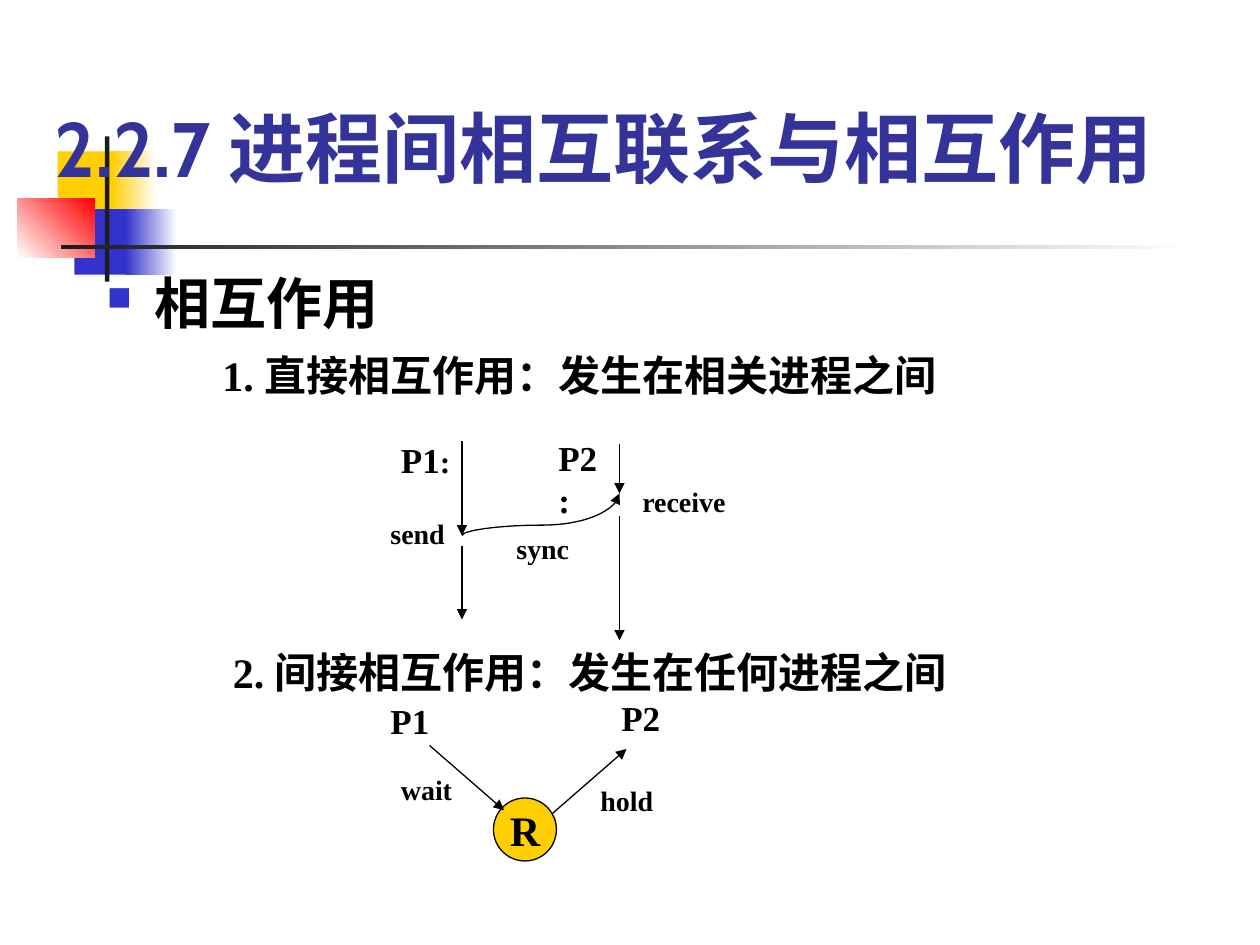
from dataclasses import dataclass

from lxml import etree
from pptx import Presentation
from pptx.dml.color import RGBColor
from pptx.enum.shapes import MSO_CONNECTOR as Link, MSO_SHAPE as Preset
from pptx.enum.text import MSO_ANCHOR as Anchor, PP_ALIGN as Align
from pptx.oxml.ns import qn
from pptx.util import Pt


@dataclass(frozen=True)
class Theme:
    yellow = RGBColor(0xFF, 0xCF, 0x01)
    blue = RGBColor(0x33, 0x33, 0xCC)
    red = RGBColor(0xFF, 0x00, 0x00)
    title = RGBColor(0x33, 0x33, 0x99)
    dark = RGBColor(0x1C, 0x1C, 0x1C)
    black = RGBColor(0, 0, 0)
    white = RGBColor(0xFF, 0xFF, 0xFF)
    head_font = "Cabin"
    text_font = "Times New Roman"
    title_size = Pt(44)
    body_size = Pt(32)
    item_size = Pt(24)
    process_size = Pt(20)
    colon_size = Pt(18)
    action_size = Pt(16)


theme = Theme()
prs = Presentation()
prs.slide_width, prs.slide_height = Pt(720), Pt(540)
slide = prs.slides.add_slide(prs.slide_layouts[6])
shapes = slide.shapes


def write(paragraph, text, size, **changes):
    """Add a bold run to a paragraph."""
    run = paragraph.add_run()
    run.text = text
    look = {"size": size, "name": theme.text_font, "bold": True} | changes
    color = look.pop("color", theme.black)
    for name, value in look.items():
        setattr(run.font, name, value)
    run.font.color.rgb = color


def add_label(text, size, left, top, width, height, **changes):
    """Add a wrapping text box and return its frame."""
    frame = shapes.add_textbox(Pt(left), Pt(top), Pt(width), Pt(height)).text_frame
    frame.word_wrap = True
    write(frame.paragraphs[0], text, size, **changes)
    return frame


# Corner ornament and title rule: box, colours, gradient angle
ornament = [
    ((33, 86.5, 35, 37.5), [theme.yellow], 0),
    ((63.5, 86.5, 26, 37.5), [theme.yellow, theme.white], 0),
    ((42.5, 119.5, 33, 37.5), [theme.blue], 0),
    ((72, 119.5, 29, 37.5), [theme.blue, theme.white], 0),
    ((10, 113.5, 44, 33.5), [theme.white, theme.red], 45),
    ((60, 78, 2.5, 83), [theme.dark], 0),
    ((34.8, 140, 648, 2.5), [theme.dark, theme.white], 0),
]
for box, colors, angle in ornament:
    block = shapes.add_shape(Preset.RECTANGLE, *map(Pt, box))
    block.shadow.inherit = False
    block.line.fill.background()
    if len(colors) == 1:
        block.fill.solid()
        block.fill.fore_color.rgb = colors[0]
    else:
        block.fill.gradient()
        block.fill.gradient_angle = angle
        for stop, color, position in zip(block.fill.gradient_stops, colors, (0, 1)):
            stop.color.rgb = color
            stop.position = position

# Title
title = add_label("2.2.7 进程间相互联系与相互作用", theme.title_size, 24, 24, 672, 90,
                  name=theme.head_font, color=theme.title)
title.vertical_anchor = Anchor.BOTTOM

# Bulleted heading
heading = add_label("相互作用", theme.body_size, 54, 150, 612, 54, name=theme.head_font)
bullet = heading.paragraphs[0]._p.get_or_add_pPr()
bullet.set("marL", str(Pt(27)))
bullet.set("indent", str(Pt(-27)))
bullet_color = etree.SubElement(bullet, qn("a:buClr"))
etree.SubElement(bullet_color, qn("a:srgbClr"), val=str(theme.blue))
etree.SubElement(bullet, qn("a:buSzPct"), val="60000")
etree.SubElement(bullet, qn("a:buChar"), char="■")

# Numbered statements
add_label("1. 直接相互作用：发生在相关进程之间", theme.item_size, 120, 196, 516, 36)
add_label("2. 间接相互作用：发生在任何进程之间", theme.item_size, 126, 366, 522, 36)

# Resource shared by the processes
resource = shapes.add_shape(Preset.OVAL, Pt(282), Pt(456), Pt(36), Pt(36))
resource.shadow.inherit = False
resource.fill.solid()
resource.fill.fore_color.rgb = theme.yellow
resource.line.color.rgb = theme.black
resource.line.width = Pt(0.75)
resource.text_frame.word_wrap = False
resource.text_frame.vertical_anchor = Anchor.MIDDLE
resource.text_frame.paragraphs[0].alignment = Align.CENTER
write(resource.text_frame.paragraphs[0], "R", theme.item_size)

# Process names
for text, left, top, width in [
    ("P2", 348, 394.5, 42), ("P1", 216, 396, 48), ("P2:", 312, 246, 42),
]:
    add_label(text, theme.process_size, left, top, width, 31)
sender = add_label("P1", theme.process_size, 222, 247, 48, 31)
write(sender.paragraphs[0], ":", theme.colon_size)

# Action names
for text, left, top, width in [
    ("sync", 288, 300, 54), ("send", 216, 291.5, 54), ("receive", 360, 273.5, 78),
    ("hold", 336, 444, 48), ("wait", 222, 438, 54),
]:
    add_label(text, theme.action_size, left, top, width, 26.5)

# Arrows; the last is the sync curve, laid out before its quarter turn
arrows = [
    (Link.STRAIGHT, 315.5, 465, 358, 428),
    (Link.STRAIGHT, 245.5, 426, 288, 463),
    (Link.STRAIGHT, 264, 252, 264, 306),
    (Link.STRAIGHT, 264, 312, 264, 354),
    (Link.STRAIGHT, 354, 253.5, 354, 282),
    (Link.STRAIGHT, 354, 295, 354, 366),
    (Link.CURVE, 321, 339, 297, 249),
]
for kind, *ends in arrows:
    arrow = shapes.add_connector(kind, *map(Pt, ends))
    arrow.line.color.rgb = theme.black
    arrow.line.width = Pt(0.75)
    etree.SubElement(arrow.line._get_or_add_ln(), qn("a:tailEnd"), type="triangle")
    properties = arrow._element.spPr
    etree.SubElement(properties, qn("a:effectLst"))
    if kind == Link.CURVE:
        properties.find(qn("a:xfrm")).set("rot", "5400000")
        bends = properties.find(qn("a:prstGeom")).find(qn("a:avLst"))
        etree.SubElement(bends, qn("a:gd"), name="adj1", fmla="val 24600")

prs.save("out.pptx")
